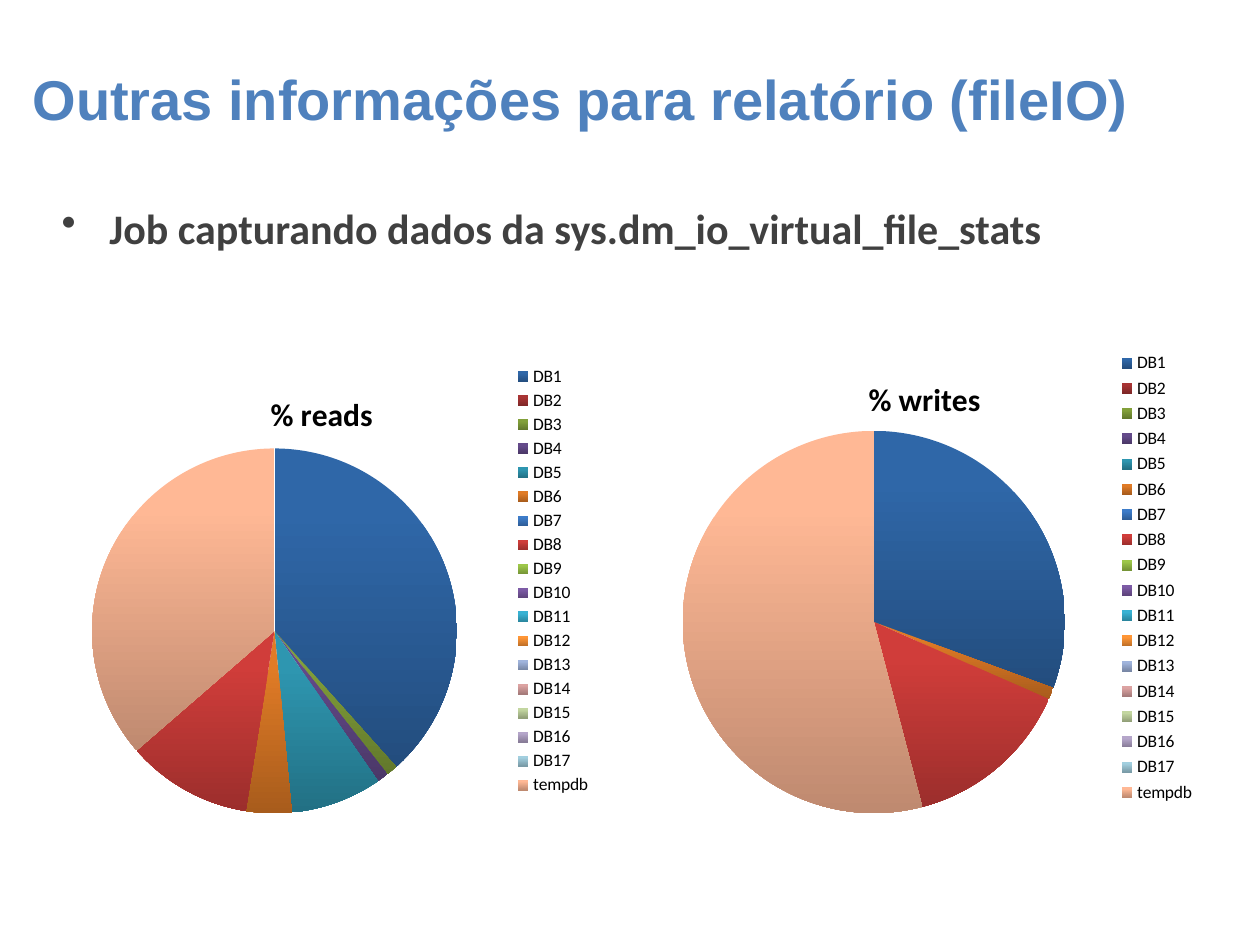
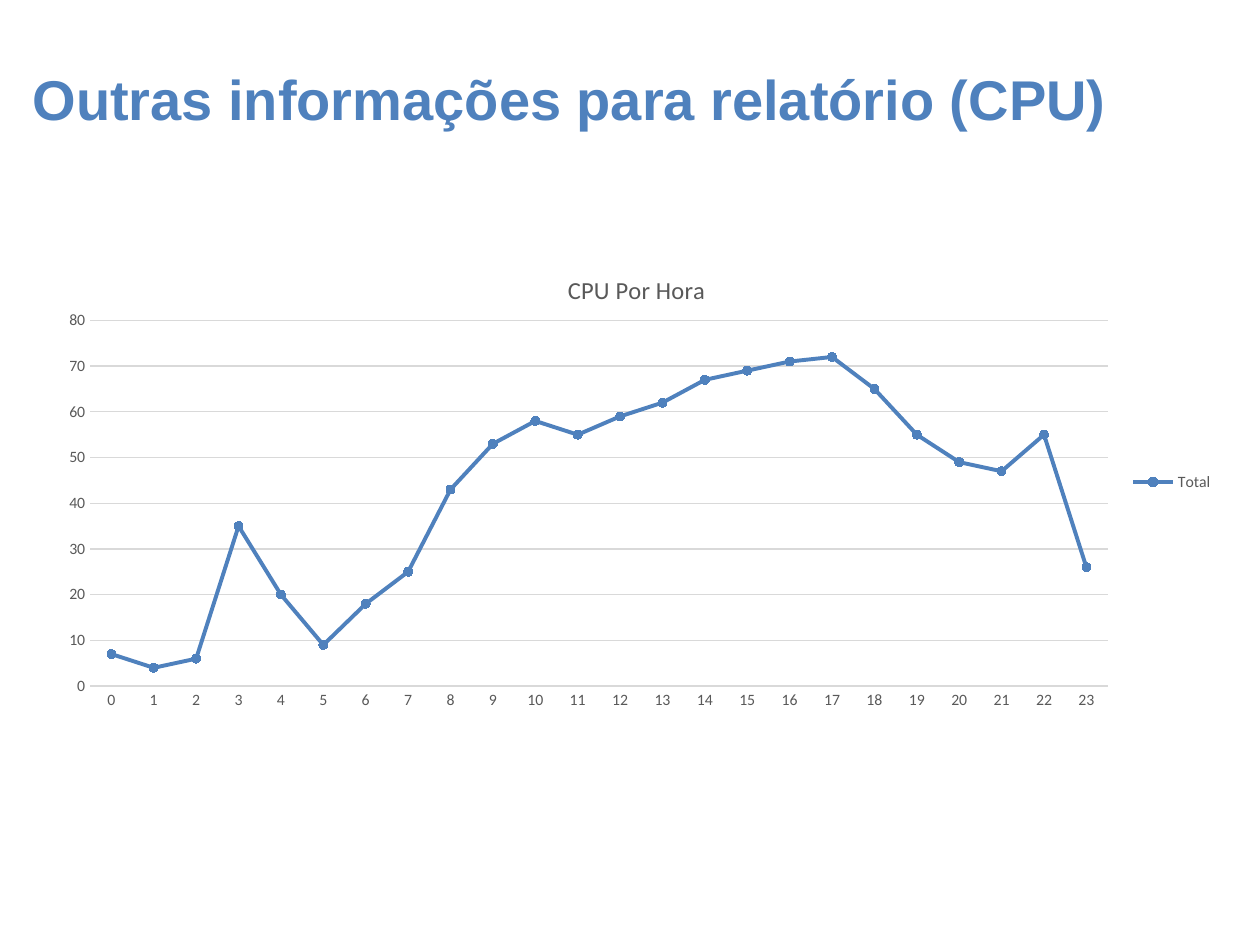
import pptx
import pptx.chart.data
import pptx.dml.color
import pptx.enum.chart
import pptx.enum.text
import pptx.oxml
import pptx.oxml.ns
import pptx.util
from pptx.util import Inches

BLUE = "4F81BD"
GREY = "595959"
GRID = "D9D9D9"


def color(code):
    return pptx.dml.color.RGBColor.from_string(code)


def write(frame, text, *, size, ink, font="Calibri", bold=False, bullet=None):
    para = frame.paragraphs[0]
    if bullet:
        properties = para._p.get_or_add_pPr()
        properties.set("marL", str(Inches(0.38)))
        properties.set("indent", str(Inches(-0.38)))
        mark = pptx.oxml.parse_xml(f'<a:buChar {pptx.oxml.ns.nsdecls("a")} char="{bullet}"/>')
        properties.append(mark)
    span = para.add_run()
    span.text = text
    span.font.name = font
    span.font.size = pptx.util.Pt(size)
    span.font.bold = bold
    span.font.color.rgb = color(ink)


def place(element, index, **fractions):
    for layout in element.findall(pptx.oxml.ns.qn("c:layout")):
        element.remove(layout)
    target = '<c:layoutTarget val="inner"/>' if index == 0 else ""
    modes = '<c:xMode val="edge"/><c:yMode val="edge"/>'
    values = "".join(f'<c:{key} val="{value}"/>' for key, value in fractions.items())
    element.insert(index, pptx.oxml.parse_xml(
        f'<c:layout {pptx.oxml.ns.nsdecls("c")}><c:manualLayout>'
        f"{target}{modes}{values}</c:manualLayout></c:layout>"))


deck = pptx.Presentation()
deck.slide_width = Inches(10)
deck.slide_height = Inches(7.5)

pages = []
for topic in ("fileIO", "CPU"):
    page = deck.slides.add_slide(deck.slide_layouts[6])
    box = page.shapes.add_textbox(Inches(0.16), Inches(0.39), Inches(9.84), Inches(0.78))
    box.text_frame.word_wrap = True
    box.text_frame.vertical_anchor = pptx.enum.text.MSO_ANCHOR.MIDDLE
    write(box.text_frame, f"Outras informações para relatório ({topic})",
          size=32, ink=BLUE, font="Arial", bold=True)
    pages.append(page)
io_page, cpu_page = pages

box = io_page.shapes.add_textbox(Inches(0.39), Inches(1.56), Inches(9.14), Inches(4.84))
box.text_frame.word_wrap = True
write(box.text_frame, "Job capturando dados da sys.dm_io_virtual_file_stats",
      size=24, ink="404040", bold=True, bullet="•")

databases = [f"DB{number}" for number in range(1, 18)] + ["tempdb"]
slice_colors = [
    "2F67A8", "A83434", "82A03A", "644A8A", "2E96B0", "E07B26",
    "3D7CC9", "D03D3A", "9DC749", "7D5BA6", "38B2D3", "FF9636",
    "A0B4DC", "DCA3A2", "C3D6A0", "B5A6CA", "A2CFDF", "FFB895",
]
pies = [
    ("% reads", (-1.25, 2.84, 7.62, 3.77),
     {"DB1": 38, "DB3": 1, "DB4": 1, "DB5": 8, "DB6": 4, "DB8": 11, "tempdb": 36},
     dict(x=0.26, y=0.19, w=0.38, h=0.77),
     dict(x=0.69, y=0.01, w=0.1, h=0.92), dict(x=0.44, y=0.06)),
    ("% writes", (4.43, 2.72, 5.76, 3.89),
     {"DB1": 30, "DB6": 1, "DB8": 14, "tempdb": 53},
     dict(x=0.17, y=0.18, w=0.53, h=0.78),
     dict(x=0.76, y=0.01, w=0.13, h=0.94), dict(x=0.42, y=0.06)),
]
for name, area, shares, plot_place, legend_place, title_place in pies:
    data = pptx.chart.data.CategoryChartData()
    data.categories = databases
    data.add_series(name, [shares.get(database, 0) for database in databases])
    chart = io_page.shapes.add_chart(
        pptx.enum.chart.XL_CHART_TYPE.PIE, *map(Inches, area), data).chart
    chart.font.name = "Calibri"
    chart.font.size = pptx.util.Pt(10)
    chart.font.color.rgb = color("000000")
    chart.has_title = True
    write(chart.chart_title.text_frame, name, size=18, ink="000000", bold=True)
    chart.has_legend = True
    chart.legend.position = pptx.enum.chart.XL_LEGEND_POSITION.RIGHT
    chart.legend.include_in_layout = False
    chart.plots[0].vary_by_categories = True
    for index, top in enumerate(slice_colors):
        bottom = "".join(f"{round(channel * 0.75):02X}" for channel in color(top))
        look = chart.plots[0].series[0].points[index].format
        look.line.fill.background()
        look.fill.gradient()
        look.fill.gradient_angle = 270
        first, last = look.fill.gradient_stops
        first.color.rgb = color(top)
        first.position = 0.2
        last.color.rgb = color(bottom)
        last.position = 1
    place(chart._chartSpace.chart.plotArea, 0, **plot_place)
    place(chart.legend._element, 1, **legend_place)
    place(chart.chart_title._element, 1, **title_place)

data = pptx.chart.data.CategoryChartData()
data.categories = [str(hour) for hour in range(24)]
data.add_series("Total", [7, 4, 6, 35, 20, 9, 18, 25, 43, 53, 58, 55,
                          59, 62, 67, 69, 71, 72, 65, 55, 49, 47, 55, 26])
chart = cpu_page.shapes.add_chart(
    pptx.enum.chart.XL_CHART_TYPE.LINE_MARKERS,
    Inches(0.34), Inches(1.94), Inches(9.39), Inches(3.77), data).chart
chart.font.name = "Calibri"
chart.font.size = pptx.util.Pt(9)
chart.font.color.rgb = color(GREY)
chart.has_title = True
write(chart.chart_title.text_frame, "CPU Por Hora", size=14, ink=GREY)
chart.has_legend = True
chart.legend.position = pptx.enum.chart.XL_LEGEND_POSITION.RIGHT
chart.legend.include_in_layout = False
chart.plots[0].vary_by_categories = False

total = chart.plots[0].series[0]
total.smooth = False
total.format.line.color.rgb = color(BLUE)
total.format.line.width = pptx.util.Pt(2.25)
total.marker.style = pptx.enum.chart.XL_MARKER_STYLE.CIRCLE
total.marker.size = 5
total.marker.format.fill.solid()
total.marker.format.fill.fore_color.rgb = color(BLUE)
total.marker.format.line.color.rgb = color(BLUE)

for axis in (chart.category_axis, chart.value_axis):
    axis.major_tick_mark = pptx.enum.chart.XL_TICK_MARK.NONE
    axis.minor_tick_mark = pptx.enum.chart.XL_TICK_MARK.NONE
chart.value_axis.minimum_scale = 0
chart.value_axis.maximum_scale = 80
chart.value_axis.major_unit = 10
chart.value_axis.format.line.fill.background()
chart.value_axis.has_major_gridlines = True
for line in (chart.category_axis.format.line, chart.value_axis.major_gridlines.format.line):
    line.color.rgb = color(GRID)
    line.width = pptx.util.Pt(0.75)
place(chart._chartSpace.chart.plotArea, 0, x=0.04, y=0.16, w=0.86, h=0.77)
place(chart.chart_title._element, 1, x=0.44, y=0.05)

deck.save("out.pptx")
